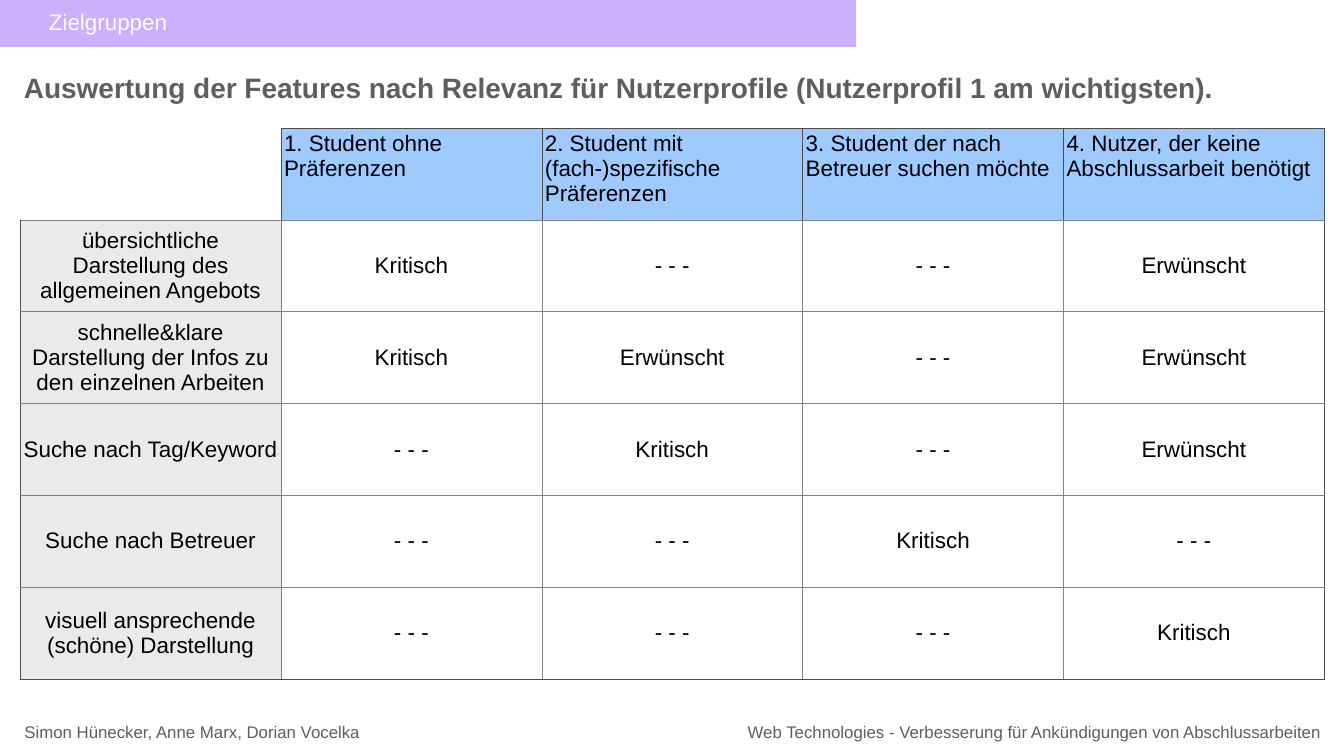
from lxml import etree
from pptx import Presentation
from pptx import util as u
from pptx.dml.color import RGBColor
from pptx.enum import shapes, text
from pptx.oxml.ns import qn

COLOURS = {
    "banner": "8D52FD", "header": "9ECAFF", "feature": "EAEAEA",
    "outer": "4D4D4D", "feature_edge": "808080", "inner": "838383",
    "grey": "5E5E5E", "black": "000000", "white": "FFFFFF",
}
INSET = u.Inches(0.06)
ROWS = [
    ["", "1. Student ohne Präferenzen", "2. Student mit (fach-)spezifische Präferenzen",
     "3. Student der nach Betreuer suchen möchte",
     "4. Nutzer, der keine Abschlussarbeit benötigt"],
    ["übersichtliche Darstellung des allgemeinen Angebots",
     "Kritisch", "- - -", "- - -", "Erwünscht"],
    ["schnelle&klare Darstellung der Infos zu den einzelnen Arbeiten",
     "Kritisch", "Erwünscht", "- - -", "Erwünscht"],
    ["Suche nach Tag/Keyword", "- - -", "Kritisch", "- - -", "Erwünscht"],
    ["Suche nach Betreuer", "- - -", "- - -", "Kritisch", "- - -"],
    ["visuell ansprechende (schöne) Darstellung", "- - -", "- - -", "- - -", "Kritisch"],
]
LABELS = [
    ("Simon Hünecker, Anne Marx, Dorian Vocelka", 0.42, 14.26, 6.78, 0.5, 24, False),
    ("Web Technologies - Verbesserung für Ankündigungen von Abschlussarbeiten",
     14.73, 14.26, 11.58, 0.5, 24, False),
    ("Auswertung der Features nach Relevanz für Nutzerprofile (Nutzerprofil 1 am wichtigsten).",
     0.4, 1.34, 23.74, 0.78, 40, True),
]


def write(holder, words, size, colour, align, bold=False):
    """Fill a shape or table cell with one formatted, tightly inset paragraph."""
    holder.margin_left = holder.margin_right = INSET
    holder.margin_top = holder.margin_bottom = INSET
    holder.vertical_anchor = text.MSO_ANCHOR.MIDDLE
    paragraph = holder.text_frame.paragraphs[0] if hasattr(holder, "text_frame") else holder.paragraphs[0]
    paragraph.text = words
    paragraph.alignment = align
    for font in [paragraph.font] + [run.font for run in paragraph.runs]:
        font.name = "Arial"
        font.size = u.Pt(size)
        font.bold = bold
        font.color.rgb = RGBColor.from_string(COLOURS[colour])


def add_border(cell, side, colour):
    """Draw one cell edge (L, R, T or B), or hide it when colour is None."""
    line = etree.SubElement(cell._tc.get_or_add_tcPr(), qn(f"a:ln{side}"), w=str(u.Pt(1)))
    if colour is None:
        etree.SubElement(line, qn("a:noFill"))
    else:
        fill = etree.SubElement(line, qn("a:solidFill"))
        etree.SubElement(fill, qn("a:srgbClr"), val=COLOURS[colour])


presentation = Presentation()
presentation.slide_width = u.Inches(26.67)
presentation.slide_height = u.Inches(15)
slide = presentation.slides.add_slide(presentation.slide_layouts[6])

# Banner
banner = slide.shapes.add_shape(
    shapes.MSO_SHAPE.RECTANGLE,
    u.Inches(-0.09), u.Inches(-0.09), u.Inches(17.08), u.Inches(1.02))
banner.shadow.inherit = False
banner.line.fill.background()
banner.fill.solid()
banner.fill.fore_color.rgb = RGBColor.from_string(COLOURS["banner"])
banner_colour = banner._element.spPr.find(qn("a:solidFill"))[0]
etree.SubElement(banner_colour, qn("a:alpha"), val="45000")
write(banner.text_frame, "Zielgruppen", 32, "white", text.PP_ALIGN.LEFT)
banner.text_frame.margin_left = u.Inches(1.06)

# Relevance table
row_count, column_count = len(ROWS), len(ROWS[0])
table = slide.shapes.add_table(
    row_count, column_count,
    u.Inches(0.4), u.Inches(2.54), u.Inches(25.88), u.Inches(10.93)).table
table.first_row = False
table.horz_banding = False
for row, values in enumerate(ROWS):
    for column, words in enumerate(values):
        cell = table.cell(row, column)
        is_header, is_feature = row == 0, column == 0
        align = text.PP_ALIGN.LEFT if is_header else text.PP_ALIGN.CENTER
        write(cell, words, 32, "black", align)
        if is_header:
            cell.vertical_anchor = text.MSO_ANCHOR.TOP

        is_corner = is_header and is_feature
        edge = "feature_edge" if is_feature else "inner"
        outer_sides = {"L": column == 0, "R": column == column_count - 1,
                       "T": row == 0, "B": row == row_count - 1}
        for side, is_outer in outer_sides.items():
            colour = "outer" if is_outer or is_header else edge
            add_border(cell, side, None if is_corner and is_outer else colour)

        if is_corner or not (is_header or is_feature):
            cell.fill.background()
        else:
            cell.fill.solid()
            cell.fill.fore_color.rgb = RGBColor.from_string(
                COLOURS["header" if is_header else "feature"])

# Heading and footer
for words, left, top, width, height, size, bold in LABELS:
    label = slide.shapes.add_textbox(
        u.Inches(left), u.Inches(top), u.Inches(width), u.Inches(height))
    write(label.text_frame, words, size, "grey", text.PP_ALIGN.CENTER, bold)
    label.text_frame.word_wrap = False
    label.text_frame.auto_size = text.MSO_AUTO_SIZE.SHAPE_TO_FIT_TEXT

presentation.save("out.pptx")
